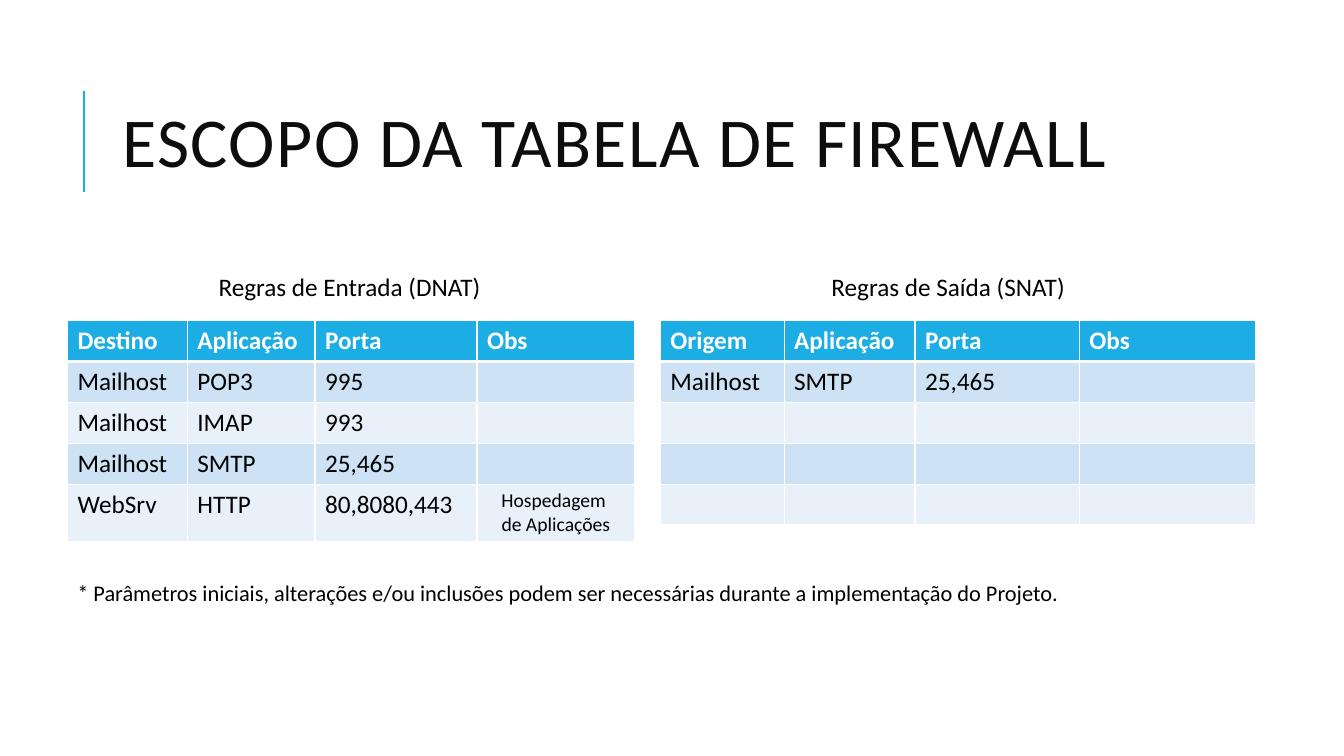
from dataclasses import dataclass

from lxml import etree
from pptx import Presentation
from pptx.dml.color import RGBColor
from pptx.enum.shapes import MSO_CONNECTOR
from pptx.enum.text import MSO_ANCHOR, PP_ALIGN
from pptx.oxml.ns import qn
from pptx.slide import Slide
from pptx.table import _Cell
from pptx.text.text import _Paragraph
from pptx.util import Cm, Pt

LINE = MSO_CONNECTOR.STRAIGHT
LEFT, CENTER = PP_ALIGN.LEFT, PP_ALIGN.CENTER
TOP, MIDDLE = MSO_ANCHOR.TOP, MSO_ANCHOR.MIDDLE

WHITE = RGBColor(0xFF, 0xFF, 0xFF)
BLACK = RGBColor(0x00, 0x00, 0x00)
INK = RGBColor(0x0D, 0x0D, 0x0D)
BLUE = RGBColor(0x1C, 0xAD, 0xE4)
BANDS = (RGBColor(0xE8, 0xF1, 0xFA), RGBColor(0xCD, 0xE3, 0xF5))

FONT = "Calibri"
GRID_TOP = 8.08
ROW_HIGH = 1.03
ROWS = 5


@dataclass
class Label:
    text: str
    left: float
    top: float
    width: float
    height: float
    size: int
    align: PP_ALIGN = LEFT
    anchor: MSO_ANCHOR = TOP
    color: RGBColor = BLACK


@dataclass
class Grid:
    left: float
    widths: tuple[float, ...]
    rows: tuple[tuple[str, ...], ...]


TITLE = Label("ESCOPO DA TABELA DE FIREWALL", 2.84, 1.63, 27, 4.17, 50,
              anchor=MIDDLE, color=INK)
LABELS = (
    Label("Regras de Entrada (DNAT)", 5, 6.71, 7.62, 1.02, 18, CENTER),
    Label("Regras de Saída (SNAT)", 20.29, 6.71, 7.21, 1.02, 18, CENTER),
    Label("* Parâmetros iniciais, alterações e/ou inclusões podem ser "
          "necessárias durante a implementação do Projeto.",
          1.7, 14.48, 28.09, 0.94, 16),
)
GRIDS = (
    Grid(1.7, (3.02, 3.22, 4.08, 3.98), (
        ("Destino", "Aplicação", "Porta", "Obs"),
        ("Mailhost", "POP3", "995"),
        ("Mailhost", "IMAP", "993"),
        ("Mailhost", "SMTP", "25,465"),
        ("WebSrv", "HTTP", "80,8080,443", "Hospedagem \vde Aplicações"),
    )),
    Grid(16.64, (3.12, 3.3, 4.14, 4.45), (
        ("Origem", "Aplicação", "Porta", "Obs"),
        ("Mailhost", "SMTP", "25,465"),
    )),
)


def style(para: _Paragraph, size: int, color: RGBColor,
          bold: bool = False) -> None:
    for run in para.runs:
        font = run.font
        font.name, font.size, font.bold = FONT, Pt(size), bold
        font.color.rgb = color


def add_label(slide: Slide, label: Label) -> _Paragraph:
    box = slide.shapes.add_textbox(Cm(label.left), Cm(label.top),
                                   Cm(label.width), Cm(label.height))
    frame = box.text_frame
    frame.word_wrap = True
    frame.vertical_anchor = label.anchor
    frame.text = label.text
    para = frame.paragraphs[0]
    para.alignment = label.align
    style(para, label.size, label.color)
    return para


def add_title(slide: Slide) -> None:
    para = add_label(slide, TITLE)
    para.line_spacing = 0.8
    para.runs[0].font._element.set("spc", "100")
    bar = slide.shapes.add_connector(LINE, Cm(2.12), Cm(4.83),
                                     Cm(2.12), Cm(2.29))
    bar.line.color.rgb = BLUE
    bar.line.width = Pt(1.5)
    etree.SubElement(bar._element.spPr, qn("a:effectLst"))


def add_edges(cell: _Cell, row: int) -> None:
    """Draw white borders, with a thick one below the header."""
    props = cell._tc.get_or_add_tcPr()
    thick = {0: "lnB", 1: "lnT"}.get(row)
    for side in ("lnL", "lnR", "lnT", "lnB"):
        width = Pt(3 if side == thick else 1)
        edge = etree.SubElement(props, qn(f"a:{side}"), w=str(width))
        fill = etree.SubElement(edge, qn("a:solidFill"))
        etree.SubElement(fill, qn("a:srgbClr"), val=str(WHITE))


def fill_cell(cell: _Cell, row: int, text: str) -> None:
    head = row == 0
    add_edges(cell, row)
    cell.fill.solid()
    cell.fill.fore_color.rgb = BLUE if head else BANDS[row % 2]
    if text:
        note = "\v" in text
        cell.text_frame.text = text
        para = cell.text_frame.paragraphs[0]
        para.alignment = CENTER if note else LEFT
        style(para, 14 if note else 18, WHITE if head else BLACK, head)


def add_grid(slide: Slide, grid: Grid) -> None:
    cols = len(grid.widths)
    table = slide.shapes.add_table(
        ROWS, cols, Cm(grid.left), Cm(GRID_TOP),
        Cm(sum(grid.widths)), Cm(ROWS * ROW_HIGH)).table
    table.horz_banding = False
    for col, width in zip(table.columns, grid.widths):
        col.width = Cm(width)
    for row in range(ROWS):
        table.rows[row].height = Cm(ROW_HIGH)
        texts = grid.rows[row] if row < len(grid.rows) else ()
        for col in range(cols):
            text = texts[col] if col < len(texts) else ""
            fill_cell(table.cell(row, col), row, text)


def main() -> None:
    deck = Presentation()
    deck.slide_width, deck.slide_height = Cm(33.87), Cm(19.05)
    slide = deck.slides.add_slide(deck.slide_layouts[6])
    add_title(slide)
    for grid in GRIDS:
        add_grid(slide, grid)
    for label in LABELS:
        add_label(slide, label)
    deck.save("out.pptx")


if __name__ == "__main__":
    main()
